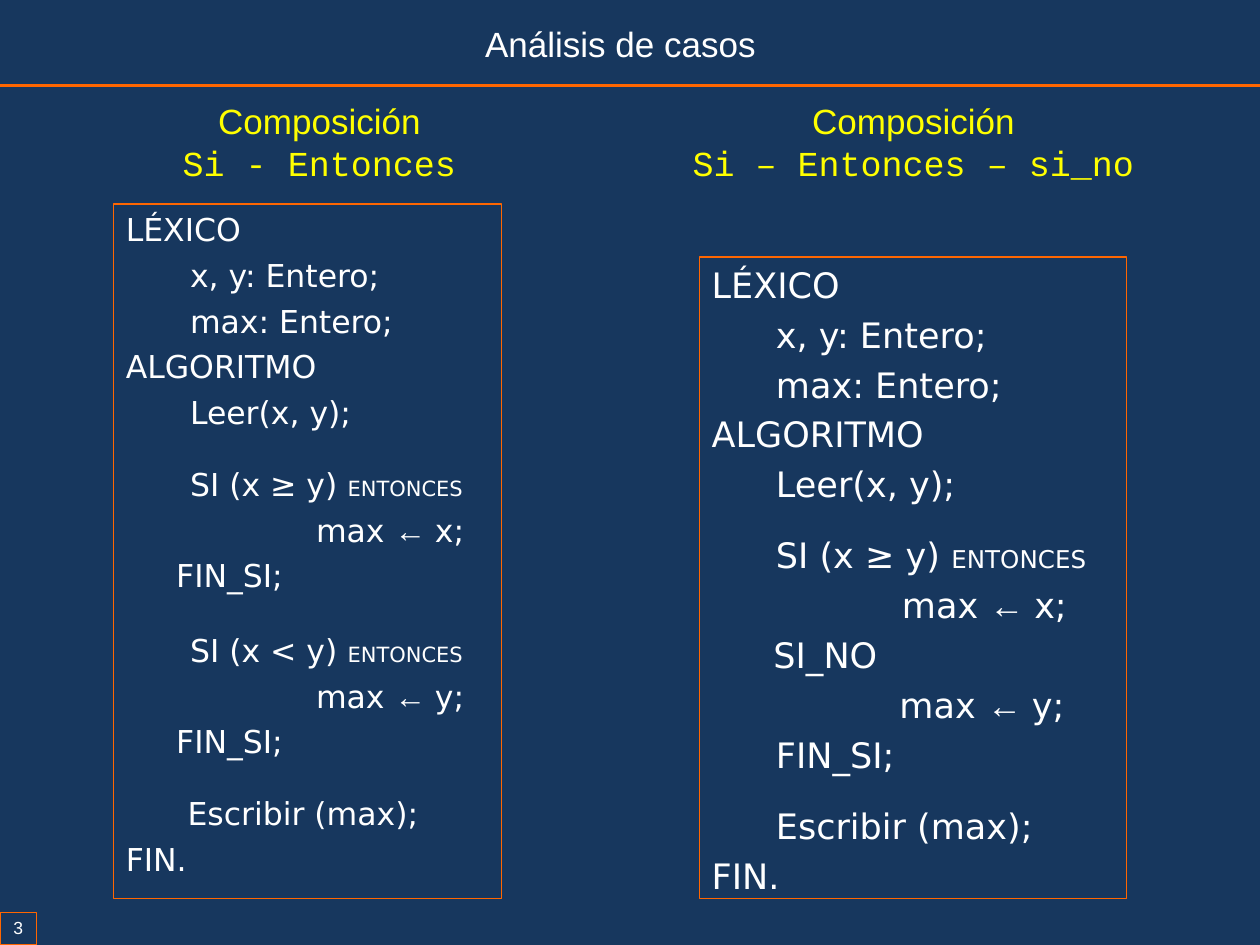
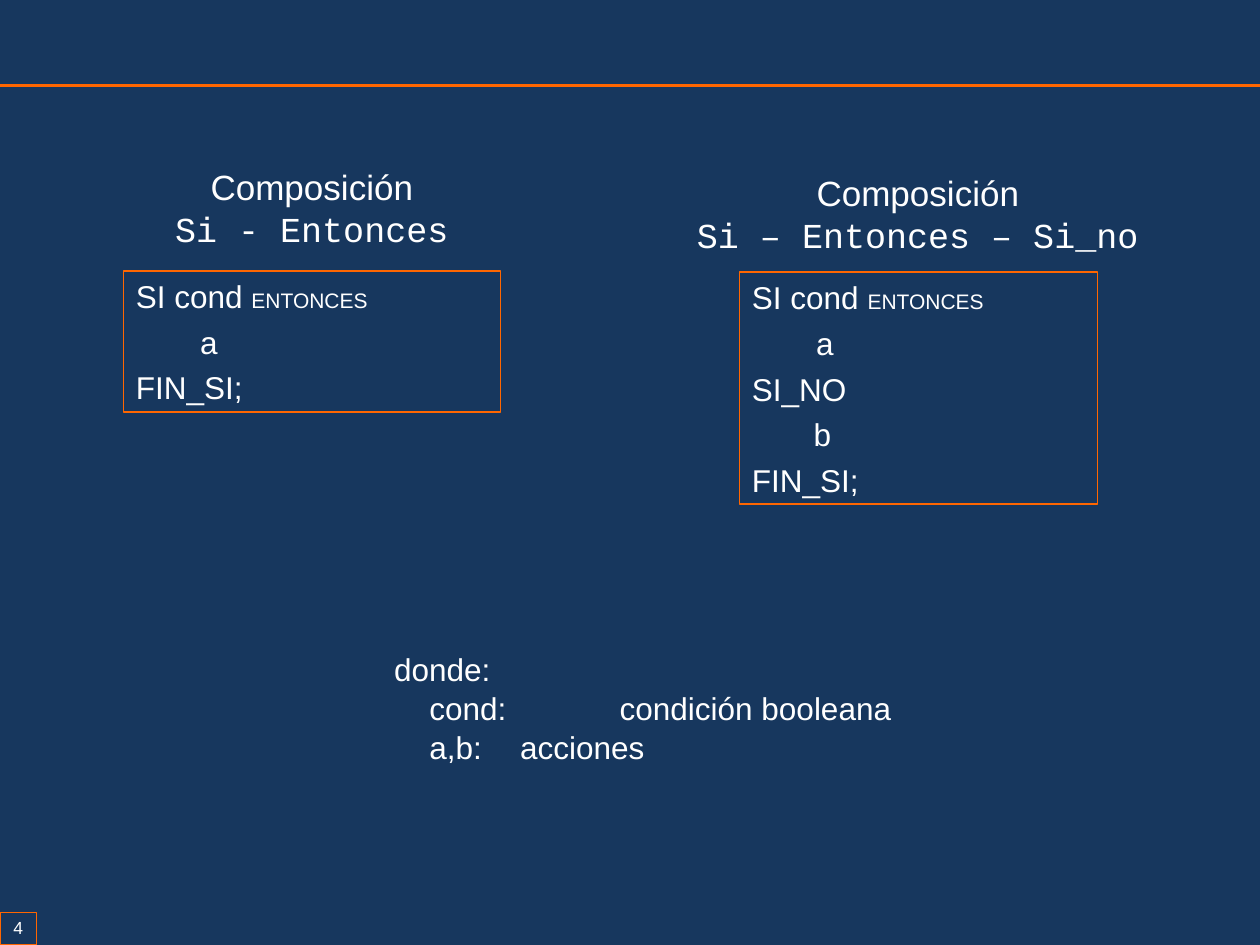
"""Build two slides on conditional composition in algorithms."""
from dataclasses import dataclass

from lxml import etree
from pptx import Presentation
from pptx.dml.color import RGBColor
from pptx.enum.shapes import MSO_CONNECTOR, MSO_SHAPE
from pptx.enum.text import MSO_ANCHOR, PP_ALIGN
from pptx.oxml.ns import qn
from pptx.util import Inches, Pt

COLORS = {"navy": "17375E", "orange": "FF6600", "yellow": "FFFF00", "white": "FFFFFF"}
SANS, MONO, CODE = "Arial", "Courier New", "DejaVu Sans"
LINE_GAP = 4.5
STEP, INNER = 0.51, 1.51


@dataclass
class Line:
    text: str
    indent: float = 0
    gap: float = LINE_GAP
    keyword: str = ""


@dataclass
class Listing:
    box: tuple[float, float, float, float]
    size: int
    keyword_size: int
    font: str
    lines: list[Line]


@dataclass
class Heading:
    box: tuple[float, float, float, float]
    construct: str
    color: str
    top_inset: float


@dataclass
class Definition:
    text: str
    start: float = 0
    hang: float = 0


def rgb(name: str) -> RGBColor:
    return RGBColor.from_string(COLORS[name])


def add_run(paragraph, text: str, size: float, font: str = SANS, color: str = "white") -> None:
    run = paragraph.add_run()
    run.text = text
    run.font.size = Pt(size)
    run.font.name = font
    run.font.color.rgb = rgb(color)


def set_frame(shape, wrap: bool, insets: tuple[float, float, float, float]):
    frame = shape.text_frame
    frame.word_wrap = wrap
    frame.vertical_anchor = MSO_ANCHOR.TOP
    frame.margin_left, frame.margin_top, frame.margin_right, frame.margin_bottom = map(Inches, insets)
    return frame


def next_paragraph(frame, index: int):
    return frame.add_paragraph() if index else frame.paragraphs[0]


def set_indent(paragraph, left: float, first: float = 0) -> None:
    properties = paragraph._p.get_or_add_pPr()
    properties.set("marL", str(Inches(left)))
    properties.set("indent", str(Inches(first)))


def add_outline(slide, box: tuple[float, float, float, float]):
    shape = slide.shapes.add_shape(MSO_SHAPE.RECTANGLE, *map(Inches, box))
    shape.shadow.inherit = False
    shape.fill.background()
    shape.line.color.rgb = rgb("orange")
    shape.line.width = Pt(0.75)
    return shape


def add_chrome(slide, number: int) -> None:
    rule = slide.shapes.add_connector(
        MSO_CONNECTOR.STRAIGHT, 0, Inches(0.68), Inches(10), Inches(0.68))
    rule.line.color.rgb = rgb("orange")
    rule.line.width = Pt(2)
    etree.SubElement(rule._element.spPr, qn("a:effectLst"))
    badge = add_outline(slide, (0, 7.24, 0.29, 0.26))
    paragraph = set_frame(badge, False, (0.02, 0.04, 0.02, 0.04)).paragraphs[0]
    paragraph.alignment = PP_ALIGN.CENTER
    add_run(paragraph, str(number), 10)


def add_title(slide, text: str) -> None:
    title = slide.shapes.title
    title.left, title.top, title.width, title.height = map(Inches, (3.73, 0.13, 2.37, 0.44))
    paragraph = set_frame(title, False, (0.1, 0.05, 0.1, 0.05)).paragraphs[0]
    paragraph.alignment = PP_ALIGN.RIGHT
    add_run(paragraph, text, 20)


def add_heading(slide, heading: Heading) -> None:
    box = slide.shapes.add_textbox(*map(Inches, heading.box))
    frame = set_frame(box, False, (0.1, heading.top_inset, 0.1, heading.top_inset))
    for index, (text, font) in enumerate((("Composición", SANS), (heading.construct, MONO))):
        paragraph = next_paragraph(frame, index)
        paragraph.alignment = PP_ALIGN.CENTER
        add_run(paragraph, text, 20, font, heading.color)


def add_listing(slide, listing: Listing) -> None:
    frame = set_frame(add_outline(slide, listing.box), True, (0.1, 0.05, 0.1, 0.05))
    for index, line in enumerate(listing.lines):
        paragraph = next_paragraph(frame, index)
        paragraph.alignment = PP_ALIGN.LEFT
        paragraph.space_before = Pt(line.gap)
        set_indent(paragraph, line.indent)
        before, arrow, after = line.text.partition("← ")
        for text, font in ((before, listing.font), (arrow, SANS), (after, listing.font)):
            if text:
                add_run(paragraph, text, listing.size, font)
        if line.keyword:
            add_run(paragraph, line.keyword, listing.keyword_size, listing.font)


def add_definitions(slide, definitions: list[Definition]) -> None:
    box = slide.shapes.add_textbox(*map(Inches, (3.03, 5.17, 5.04, 0.97)))
    frame = set_frame(box, True, (0.1, 0.05, 0.1, 0.05))
    for index, definition in enumerate(definitions):
        paragraph = next_paragraph(frame, index)
        paragraph.line_spacing = 0.8
        paragraph.space_before = Pt(5)
        set_indent(paragraph, definition.start + definition.hang, -definition.hang)
        add_run(paragraph, definition.text, 18)


def opening(gap: float) -> list[Line]:
    return [
        Line("LÉXICO"),
        Line("x, y: Entero;", STEP),
        Line("max: Entero;", STEP),
        Line("ALGORITMO"),
        Line("Leer(x, y);", STEP),
        Line("SI (x ≥ y) ", STEP, gap, "ENTONCES"),
        Line("max ← x;", INNER),
    ]


def build_cases(prs) -> None:
    slide = prs.slides.add_slide(prs.slide_layouts[5])
    add_chrome(slide, 3)
    add_title(slide, "Análisis de casos")
    add_heading(slide, Heading((1.34, 0.74, 2.39, 0.77), "Si - Entonces", "yellow", 0.05))
    add_heading(slide, Heading((5.38, 0.74, 3.74, 0.77), "Si – Entonces – si_no", "yellow", 0.05))
    add_listing(slide, Listing((0.9, 1.62, 3.08, 5.51), 18, 12, CODE, opening(19.5) + [
        Line("FIN_SI;", 0.4),
        Line("SI (x < y) ", STEP, 21, "ENTONCES"),
        Line("max ← y;", INNER),
        Line("FIN_SI;", 0.4),
        Line("Escribir (max);", 0.49, 19.5),
        Line("FIN."),
    ]))
    add_listing(slide, Listing((5.55, 2.04, 3.39, 5.09), 20, 14, CODE, opening(16.5) + [
        Line("SI_NO", 0.49),
        Line("max ← y;", 1.49),
        Line("FIN_SI;", STEP),
        Line("Escribir (max);", STEP, 16.8),
        Line("FIN."),
    ]))


def build_syntax(prs) -> None:
    slide = prs.slides.add_slide(prs.slide_layouts[6])
    add_chrome(slide, 4)
    add_heading(slide, Heading((1.28, 1.31, 2.39, 0.73), "Si - Entonces", "white", 0))
    add_heading(slide, Heading((5.42, 1.36, 3.73, 0.73), "Si – Entonces – Si_no", "white", 0))
    start = [Line("SI cond ", keyword="ENTONCES"), Line("a", STEP)]
    end = [Line("FIN_SI;")]
    otherwise = [Line("SI_NO"), Line("b", 0.49)]
    add_listing(slide, Listing((0.98, 2.15, 2.99, 1.12), 18, 12, SANS, start + end))
    add_listing(slide, Listing((5.87, 2.16, 2.84, 1.84), 18, 12, SANS, start + otherwise + end))
    add_definitions(slide, [
        Definition("donde:"),
        Definition("cond:\tcondición booleana", 0.28, 1.51),
        Definition("a,b:\tacciones", 0.28, 0.72),
    ])


def main() -> None:
    prs = Presentation()
    prs.slide_width, prs.slide_height = Inches(10), Inches(7.5)
    background = prs.slide_master.background.fill
    background.solid()
    background.fore_color.rgb = rgb("navy")
    build_cases(prs)
    build_syntax(prs)
    prs.save("out.pptx")


main()
